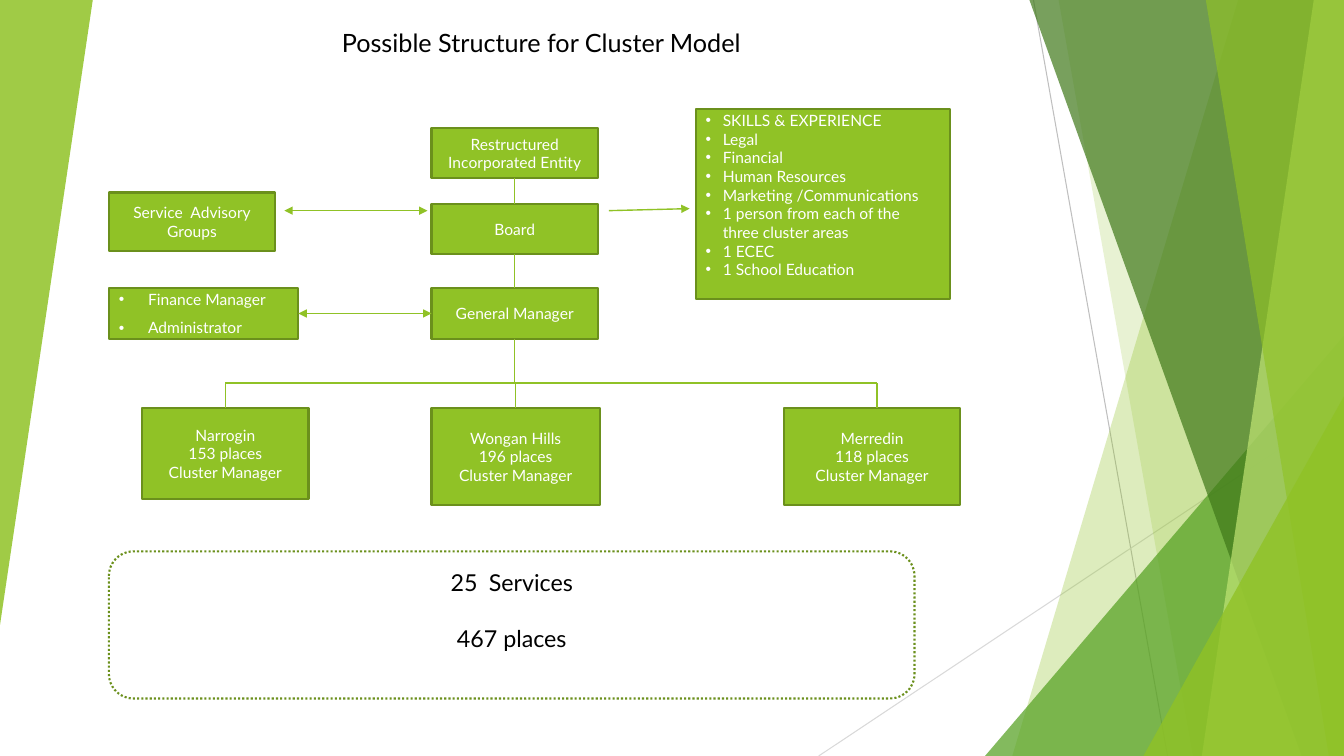
import pptx
import pptx.util
import pptx.dml.color
import pptx.enum.dml
import pptx.enum.shapes
import pptx.enum.text
import pptx.oxml.ns
import lxml.etree
from dataclasses import dataclass

WIDTH, HEIGHT = 13.33, 7.5
TITLE = "Possible Structure for Cluster Model"
COLUMNS = {"advice": 1.08, "narrogin": 1.41, "core": 4.28, "skills": 6.9, "merredin": 7.78}
ROWS = {"skills": 1.08, "entity": 1.27, "advice": 1.91, "board": 2.02,
        "manager": 2.86, "bus": 3.8, "clusters": 4.05, "summary": 5.47}

BOXES = {
    "entity": ("core", "entity", 1.65, 0.5, ["Restructured Incorporated Entity"]),
    "board": ("core", "board", 1.65, 0.5, ["Board"]),
    "manager": ("core", "manager", 1.65, 0.5, ["General Manager"]),
    "office": ("advice", "manager", 1.88, 0.5, ["Finance Manager", "Administrator"]),
    "advisory": ("advice", "advice", 1.65, 0.58, ["Service  Advisory", "Groups"]),
    "skills": ("skills", "skills", 2.52, 1.89, [
        "SKILLS & EXPERIENCE", "Legal", "Financial", "Human Resources",
        "Marketing /Communications", "1 person from each of the three cluster areas",
        "1 ECEC", "1 School Education"]),
    "narrogin": ("narrogin", "clusters", 1.65, 0.9, ["Narrogin", "153 places", "Cluster Manager"]),
    "wongan": ("core", "clusters", 1.67, 0.96, ["Wongan Hills", "196 places", "Cluster Manager"]),
    "merredin": ("merredin", "clusters", 1.74, 0.96, ["Merredin", "118 places", "Cluster Manager"]),
}
BULLET_INDENTS = {"office": 0.29, "skills": 0.17}
SUMMARY = ["Services", "467 places"]
FIRST_NUMBER = 25


@dataclass(frozen=True)
class Theme:
    font: str = "Lato"
    green: str = "90C226"
    edge: str = "6B901C"
    leaf: str = "54A021"
    forest: str = "3F7819"
    lime: str = "C0E474"
    white: str = "FFFFFF"
    black: str = "000000"
    ray: str = "BFBFBF"
    pale_ray: str = "D9D9D9"
    title: float = 18
    summary: float = 16.6
    label: float = 11.1


theme = Theme()
SHARDS = [
    ("band", 12.28, 10.04, theme.green, 30),
    ("band", 10.5, 11.83, theme.green, 20),
    ("wedge", 9.77, 3.33, theme.leaf, 72),
    ("band", 10.21, 12.91, theme.forest, 70),
    ("band", 13.03, 11.92, theme.lime, 70),
    ("band", 11.96, 13.18, theme.green, 65),
    ("wedge", 11.34, 3.93, theme.green, 80),
]

Inches = pptx.util.Inches
Shape = pptx.enum.shapes.MSO_SHAPE
Anchor = pptx.enum.text.MSO_ANCHOR
Align = pptx.enum.text.PP_ALIGN

deck = pptx.Presentation()
deck.slide_width, deck.slide_height = Inches(WIDTH), Inches(HEIGHT)
page = deck.slides.add_slide(deck.slide_layouts[5])


def rgb(color):
    return pptx.dml.color.RGBColor.from_string(color)


def add_xml(parent, tag, **attributes):
    return lxml.etree.SubElement(parent, pptx.oxml.ns.qn(tag), attributes)


def paint(shape, color, opacity):
    shape.shadow.inherit = False
    shape.line.fill.background()
    shape.fill.solid()
    shape.fill.fore_color.rgb = rgb(color)
    scheme = shape.fill._xPr.find(".//" + pptx.oxml.ns.qn("a:srgbClr"))
    add_xml(scheme, "a:alpha", val=str(opacity * 1000))


def add_shape(kind, left, top, width, height):
    shape = page.shapes.add_shape(kind, *map(Inches, (left, top, width, height)))
    shape.shadow.inherit = False
    return shape


def add_wedge(left, top, width, height, color, opacity):
    wedge = add_shape(Shape.ISOSCELES_TRIANGLE, left, top, width, height)
    wedge.adjustments[0] = 1
    paint(wedge, color, opacity)
    return wedge


def add_band(top_x, bottom_x, color, opacity):
    builder = page.shapes.build_freeform(Inches(top_x), 0)
    corners = [(WIDTH, 0), (WIDTH, HEIGHT), (bottom_x, HEIGHT)]
    builder.add_line_segments([(Inches(x), Inches(y)) for x, y in corners], close=True)
    paint(builder.convert_to_shape(), color, opacity)


def add_line(start, end, color=theme.green, weight=1, arrows=()):
    line = page.shapes.add_connector(
        pptx.enum.shapes.MSO_CONNECTOR.STRAIGHT, *map(Inches, start + end))
    line.line.color.rgb = rgb(color)
    line.line.width = pptx.util.Pt(weight)
    outline = line.line._get_or_add_ln()
    for arrow in arrows:
        add_xml(outline, arrow, type="triangle")
    add_xml(line._element.spPr, "a:effectLst")


def write(frame, lines, size, color, align, gap=0):
    frame.word_wrap = True
    frame.text = "\n".join(lines)
    for index, para in enumerate(frame.paragraphs):
        para.alignment = align
        para.space_before = pptx.util.Pt(gap if index else 0)
        for span in para.runs:
            span.font.name = theme.font
            span.font.size = pptx.util.Pt(size)
            span.font.color.rgb = rgb(color)


def add_marker(para, indent, tag, **attributes):
    properties = para._p.get_or_add_pPr()
    properties.set("marL", str(Inches(indent)))
    properties.set("indent", str(-Inches(indent)))
    if tag == "a:buChar":
        add_xml(properties, "a:buFont", typeface="Arial")
    add_xml(properties, tag, **attributes)


def add_box(name):
    column, row, width, height, lines = BOXES[name]
    box = add_shape(Shape.RECTANGLE, COLUMNS[column], ROWS[row], width, height)
    box.fill.solid()
    box.fill.fore_color.rgb = rgb(theme.green)
    box.line.color.rgb = rgb(theme.edge)
    box.line.width = pptx.util.Pt(1.5)
    bulleted = name in BULLET_INDENTS
    write(box.text_frame, lines, theme.label, theme.white,
          Align.LEFT if bulleted else Align.CENTER, 7 if name == "office" else 0)
    box.text_frame.vertical_anchor = Anchor.MIDDLE
    if name == "skills":
        box.text_frame.vertical_anchor = Anchor.TOP
        box.text_frame.margin_top = Inches(0.02)
    if bulleted:
        for para in box.text_frame.paragraphs:
            add_marker(para, BULLET_INDENTS[name], "a:buChar", char="•")


def add_summary():
    panel = add_shape(Shape.ROUNDED_RECTANGLE, COLUMNS["advice"], ROWS["summary"], 7.99, 1.46)
    panel.fill.background()
    panel.line.color.rgb = rgb(theme.edge)
    panel.line.width = pptx.util.Pt(1.5)
    panel.line.dash_style = pptx.enum.dml.MSO_LINE.ROUND_DOT
    frame = panel.text_frame
    write(frame, SUMMARY, theme.summary, theme.black, Align.CENTER, theme.summary * 1.2)
    frame.vertical_anchor = Anchor.TOP
    frame.margin_top = Inches(0.1)
    add_marker(frame.paragraphs[0], 0.38, "a:buAutoNum",
               type="arabicPlain", startAt=str(FIRST_NUMBER))


def add_links():
    center = COLUMNS["core"] + 1.65 / 2
    stops = [("entity", "board"), ("board", "manager"), ("manager", "bus")]
    for upper, lower in stops:
        add_line((center, ROWS[upper] + 0.5), (center, ROWS[lower]))
    branches = [COLUMNS[BOXES[name][0]] + BOXES[name][2] / 2
                for name in ("narrogin", "wongan")] + [8.7]
    add_line((branches[0], ROWS["bus"]), (branches[-1], ROWS["bus"]))
    for x in branches:
        add_line((x, ROWS["bus"]), (x, ROWS["clusters"]))
    both = ("a:headEnd", "a:tailEnd")
    office_right = COLUMNS["advice"] + BOXES["office"][2]
    middle = ROWS["manager"] + 0.25
    add_line((COLUMNS["core"], middle), (office_right, middle), arrows=both)
    add_line((4.24, 2.09), (2.82, 2.09), arrows=both)
    add_line((6.04, 2.09), (6.84, 2.07), arrows=("a:tailEnd",))


def add_title():
    title = page.shapes.title
    title.left, title.top, title.width, title.height = map(Inches, (3.29, 0.22, 5.28, 0.4))
    write(title.text_frame, [TITLE], theme.title, theme.black, Align.LEFT)
    title.text_frame.vertical_anchor = Anchor.TOP
    title.text_frame.auto_size = pptx.enum.text.MSO_AUTO_SIZE.NONE


def main():
    add_line((10.25, 0), (11.58, HEIGHT), theme.ray, 0.75)
    add_line((WIDTH, 4.03), (8.12, HEIGHT), theme.pale_ray, 0.75)
    for kind, first, second, color, opacity in SHARDS:
        if kind == "band":
            add_band(first, second, color, opacity)
        else:
            add_wedge(first, second, WIDTH - first, HEIGHT - second, color, opacity)
    add_wedge(0, 0, 0.92, 6.2, theme.green, 85).rotation = 180
    add_summary()
    for name in BOXES:
        add_box(name)
    add_links()
    add_title()
    deck.save("out.pptx")


if __name__ == "__main__":
    main()
